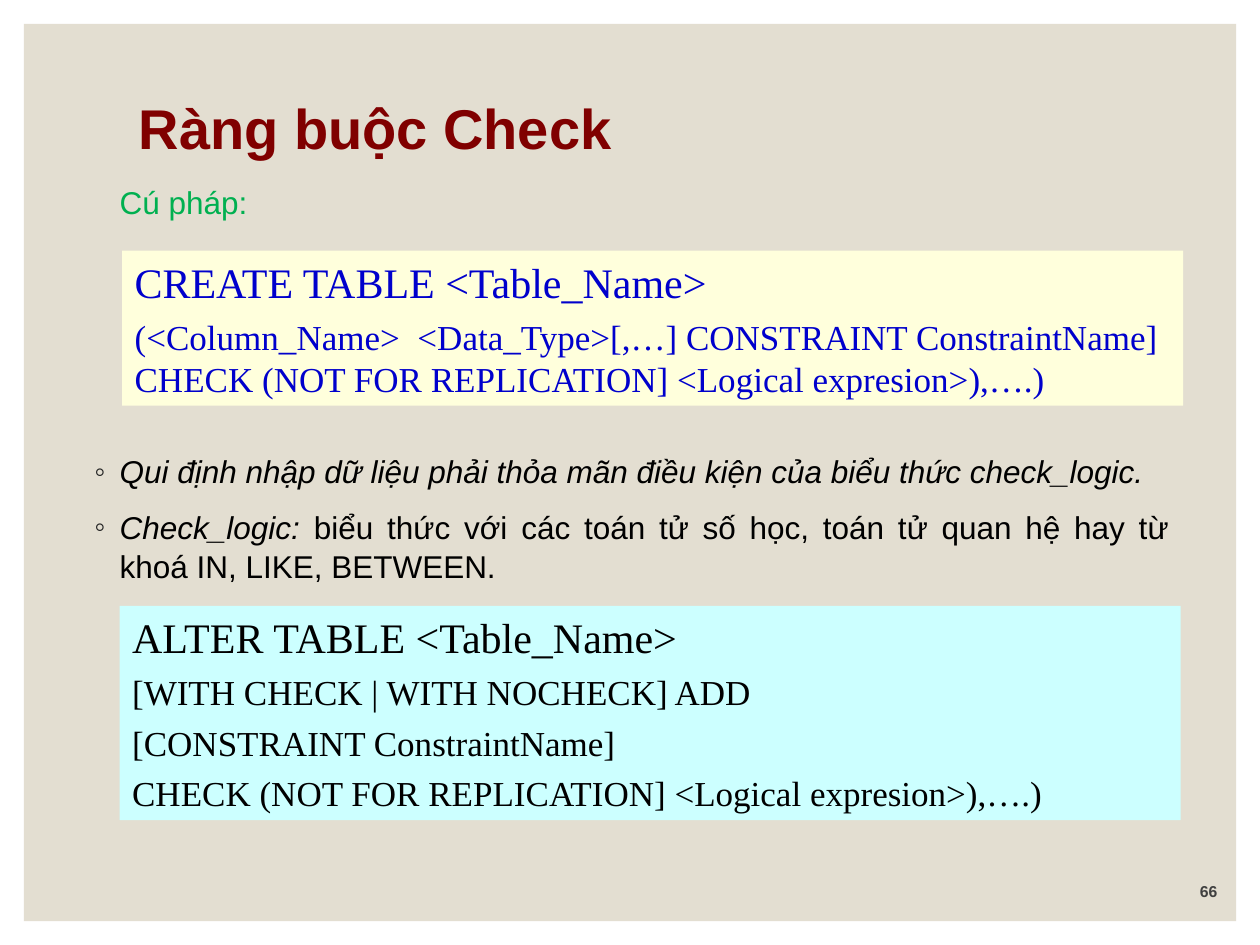
from lxml import etree
from pptx import Presentation
from pptx.dml.color import RGBColor
from pptx.enum.shapes import MSO_SHAPE
from pptx.enum.text import MSO_ANCHOR, MSO_AUTO_SIZE, PP_ALIGN
from pptx.oxml.ns import qn
from pptx.util import Inches, Pt

RECTANGLE = MSO_SHAPE.RECTANGLE
BOTTOM = MSO_ANCHOR.BOTTOM
NO_AUTOFIT = MSO_AUTO_SIZE.NONE
LEFT, RIGHT, JUSTIFY = PP_ALIGN.LEFT, PP_ALIGN.RIGHT, PP_ALIGN.JUSTIFY

BEIGE = RGBColor(0xE3, 0xDE, 0xD1)
MAROON = RGBColor(0x80, 0x00, 0x00)
GREEN = RGBColor(0x00, 0xB0, 0x50)
BLUE = RGBColor(0x00, 0x00, 0xCC)
BLACK = RGBColor(0x00, 0x00, 0x00)
GRAY = RGBColor(0x40, 0x40, 0x40)
BULLET_GRAY = "262626"
CREAM = RGBColor(0xFF, 0xFF, 0xDC)
CYAN = RGBColor(0xCC, 0xFF, 0xFF)


class SlideBuilder:
    """Adds the styled elements of one slide."""

    body_font = "Arial"
    code_font = "Times New Roman"

    def __init__(self, slide):
        self.slide = slide

    def style(self, run, size, color, font=body_font, bold=False, italic=False):
        run.font.name = font
        run.font.size = Pt(size)
        run.font.color.rgb = color
        run.font.bold = bold
        run.font.italic = italic

    def place(self, shape, box):
        shape.left, shape.top, shape.width, shape.height = map(Inches, box)

    def title(self, text, box):
        shape = self.slide.shapes.title
        self.place(shape, box)
        text_frame = shape.text_frame
        text_frame.text = text
        text_frame.auto_size = NO_AUTOFIT
        text_frame.vertical_anchor = BOTTOM
        paragraph = text_frame.paragraphs[0]
        paragraph.alignment = LEFT
        paragraph.line_spacing = 0.9
        self.style(paragraph.runs[0], 32, MAROON, bold=True)

    def panel(self, box, fill):
        shape = self.slide.shapes.add_shape(RECTANGLE, *map(Inches, box))
        shape.shadow.inherit = False
        shape.fill.solid()
        shape.fill.fore_color.rgb = fill
        shape.line.fill.background()
        return shape

    def code(self, lines, box, fill, color):
        text_frame = self.panel(box, fill).text_frame
        text_frame.word_wrap = True
        text_frame.vertical_anchor = BOTTOM
        text_frame.text = "\n".join(lines)
        for index, paragraph in enumerate(text_frame.paragraphs):
            paragraph.alignment = LEFT
            paragraph.space_before = Pt(5)
            size = 20 if index else 24
            self.style(paragraph.runs[0], size, color, self.code_font)

    def text_box(self, box):
        text_frame = self.slide.shapes.add_textbox(*map(Inches, box)).text_frame
        text_frame.word_wrap = True
        return text_frame

    def bullet(self, paragraph, character):
        properties = paragraph._p.get_or_add_pPr()
        properties.set("indent", str(-Inches(0.2)))
        color = etree.SubElement(properties, qn("a:buClr"))
        etree.SubElement(color, qn("a:srgbClr"), val=BULLET_GRAY)
        etree.SubElement(properties, qn("a:buFont"), typeface=self.body_font)
        etree.SubElement(properties, qn("a:buChar"), char=character)

    def body(self, items, box):
        text_frame = self.text_box(box)
        text_frame.margin_left = Inches(0.2)
        text_frame.margin_top = Inches(0.1)
        for index, (space_before, color, character, parts) in enumerate(items):
            paragraph = text_frame.add_paragraph() if index else text_frame.paragraphs[0]
            paragraph.alignment = JUSTIFY
            paragraph.line_spacing = 1.05
            paragraph.space_before = Pt(space_before)
            paragraph._p.get_or_add_pPr().set("marL", str(Inches(0.2)))
            if character:
                self.bullet(paragraph, character)
            for text, italic in parts:
                run = paragraph.add_run()
                run.text = text
                self.style(run, 18, color, italic=italic)

    def page_number(self, text, box):
        text_frame = self.text_box(box)
        text_frame.text = text
        text_frame.vertical_anchor = BOTTOM
        paragraph = text_frame.paragraphs[0]
        paragraph.alignment = RIGHT
        self.style(paragraph.runs[0], 9, GRAY, bold=True)


def main():
    presentation = Presentation()
    presentation.slide_width = Inches(10)
    presentation.slide_height = Inches(7.5)
    slide = presentation.slides.add_slide(presentation.slide_layouts[5])
    builder = SlideBuilder(slide)

    background = builder.panel((0.19, 0.19, 9.62, 7.12), BEIGE)
    slide.shapes.title._element.addprevious(background._element)
    builder.page_number("66", (8.56, 6.9, 1.2, 0.3))
    builder.title("Ràng buộc Check", (1, 0.42, 9, 0.91))
    builder.body(
        [
            (0, GREEN, None, [("Cú pháp:", False)]),
            (131, BLACK, "◦", [
                ("Qui định nhập dữ liệu phải thỏa mãn điều kiện của biểu thức check_logic.", True),
            ]),
            (9, BLACK, "◦", [
                ("Check_logic: ", True),
                ("biểu thức với các toán tử số học, toán tử quan hệ hay từ khoá "
                 "IN, LIKE, BETWEEN.", False),
            ]),
        ],
        (0.55, 1.34, 8.83, 5.17),
    )
    check_clause = "CHECK (NOT FOR REPLICATION] <Logical expresion>),….)"
    builder.code(
        [
            "CREATE TABLE <Table_Name>",
            "(<Column_Name>  <Data_Type>[,…] CONSTRAINT ConstraintName] " + check_clause,
        ],
        (0.97, 1.99, 8.42, 1.23), CREAM, BLUE,
    )
    builder.code(
        [
            "ALTER TABLE <Table_Name>",
            "[WITH CHECK | WITH NOCHECK] ADD",
            "[CONSTRAINT ConstraintName]",
            check_clause,
        ],
        (0.95, 4.81, 8.42, 1.7), CYAN, BLACK,
    )
    presentation.save("out.pptx")


if __name__ == "__main__":
    main()
